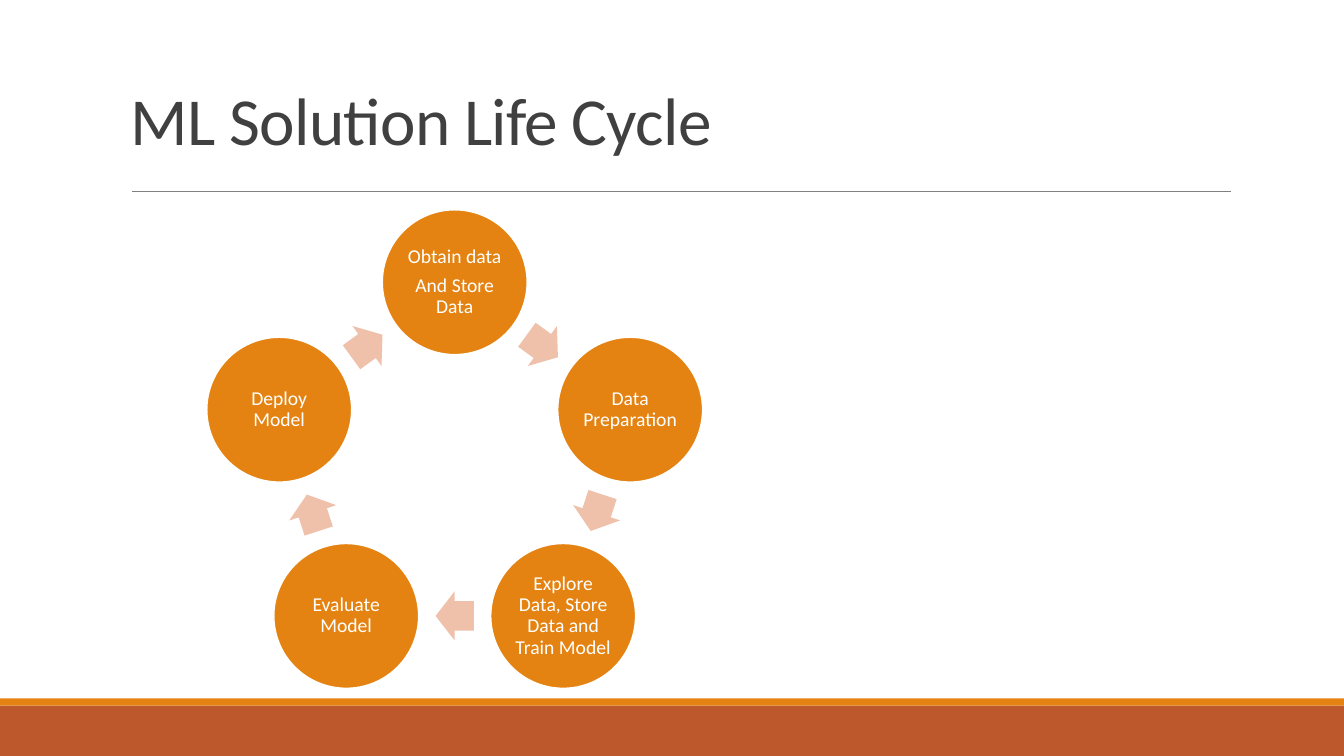
import math

from lxml import etree
from pptx import Presentation
from pptx.dml.color import RGBColor
from pptx.enum.shapes import MSO_CONNECTOR, MSO_SHAPE
from pptx.enum.text import MSO_ANCHOR, PP_ALIGN
from pptx.oxml.ns import qn
from pptx.util import Inches, Pt

RECTANGLE, OVAL, ARROW = MSO_SHAPE.RECTANGLE, MSO_SHAPE.OVAL, MSO_SHAPE.RIGHT_ARROW
STRAIGHT = MSO_CONNECTOR.STRAIGHT
LEFT, CENTER = PP_ALIGN.LEFT, PP_ALIGN.CENTER
MIDDLE, BOTTOM = MSO_ANCHOR.MIDDLE, MSO_ANCHOR.BOTTOM

FONT = "Calibri"
COLORS = {
    "title": "404040",
    "rule": "808080",
    "stage": "E48312",
    "footer": "BD582C",
    "arrow": "EFC1AB",
    "white": "FFFFFF",
}

# Each stage is a list of paragraphs, clockwise from the top
STAGES = [
    ["Obtain data", "And Store Data"],
    ["Data Preparation"],
    ["Explore Data, Store Data and Train Model"],
    ["Evaluate Model"],
    ["Deploy Model"],
]
SLIDE_WIDTH, SLIDE_HEIGHT = 13.33, 7.5
CYCLE_X, CYCLE_Y = 4.51, 4.63
STAGE_RADIUS, ARROW_RADIUS = 1.83, 1.48
STAGE_SIZE = 1.44
ARROW_WIDTH, ARROW_HEIGHT = 0.38, 0.49


def color(name):
    return RGBColor.from_string(COLORS[name])


def write_text(shape, paragraphs, size, ink, align=LEFT, anchor=MIDDLE,
               inset=None, line_spacing=0.9, space_after=0, tracking=None):
    frame = shape.text_frame
    frame.word_wrap = True
    frame.vertical_anchor = anchor
    if inset is not None:
        frame.margin_left = frame.margin_right = Inches(inset)
        frame.margin_top = frame.margin_bottom = Inches(inset)
    for index, text in enumerate(paragraphs):
        paragraph = frame.add_paragraph() if index else frame.paragraphs[0]
        paragraph.alignment = align
        paragraph.line_spacing = line_spacing
        paragraph.space_after = Pt(space_after)
        run = paragraph.add_run()
        run.text = text
        run.font.name = FONT
        run.font.size = Pt(size)
        run.font.color.rgb = color(ink)
        if tracking is not None:
            run.font._element.set("spc", str(round(tracking * 100)))


def add_filled(slide, preset, left, top, width, height, fill, outline=None):
    shape = slide.shapes.add_shape(
        preset, Inches(left), Inches(top), Inches(width), Inches(height))
    shape.shadow.inherit = False
    shape.fill.solid()
    shape.fill.fore_color.rgb = color(fill)
    if outline:
        shape.line.color.rgb = color(outline)
        shape.line.width = Pt(1.25)
    else:
        shape.line.fill.background()
    return shape


def add_rule(slide, left, right, y):
    rule = slide.shapes.add_connector(
        STRAIGHT, Inches(left), Inches(y), Inches(right), Inches(y))
    rule.line.color.rgb = color("rule")
    rule.line.width = Pt(0.5)
    etree.SubElement(rule._element.spPr, qn("a:effectLst"))


def on_cycle(radius, degrees):
    """Point on the cycle, with degrees counted clockwise from the top."""
    angle = math.radians(degrees)
    return CYCLE_X + radius * math.sin(angle), CYCLE_Y - radius * math.cos(angle)


def add_stage(slide, paragraphs, degrees):
    x, y = on_cycle(STAGE_RADIUS, degrees)
    stage = add_filled(slide, OVAL, x - STAGE_SIZE / 2, y - STAGE_SIZE / 2,
                       STAGE_SIZE, STAGE_SIZE, "stage", outline="white")
    write_text(stage, paragraphs, 14, "white", align=CENTER, inset=0.02, space_after=5)


def add_cycle_arrow(slide, degrees):
    x, y = on_cycle(ARROW_RADIUS, degrees)
    arrow = add_filled(slide, ARROW, x - ARROW_WIDTH / 2, y - ARROW_HEIGHT / 2,
                       ARROW_WIDTH, ARROW_HEIGHT, "arrow")
    arrow.adjustments[0] = 0.6
    arrow.adjustments[1] = 0.5
    arrow.rotation = degrees


def main():
    deck = Presentation()
    deck.slide_width = Inches(SLIDE_WIDTH)
    deck.slide_height = Inches(SLIDE_HEIGHT)
    slide = deck.slides.add_slide(deck.slide_layouts[6])

    # Footer bands and title rule
    add_filled(slide, RECTANGLE, 0, 7, SLIDE_WIDTH, 0.5, "footer")
    add_filled(slide, RECTANGLE, 0, 6.93, SLIDE_WIDTH, 0.07, "stage")
    add_rule(slide, 1.31, 12.21, 1.9)

    # Title
    title = slide.shapes.add_textbox(Inches(1.2), Inches(0.83), Inches(11), Inches(0.8))
    write_text(title, ["ML Solution Life Cycle"], 48, "title", anchor=BOTTOM,
               line_spacing=0.85, tracking=-0.5)

    # Cycle: each stage is followed by an arrow halfway to the next
    step = 360 / len(STAGES)
    for index, paragraphs in enumerate(STAGES):
        add_stage(slide, paragraphs, index * step)
        add_cycle_arrow(slide, (index + 0.5) * step)

    deck.save("out.pptx")


if __name__ == "__main__":
    main()
